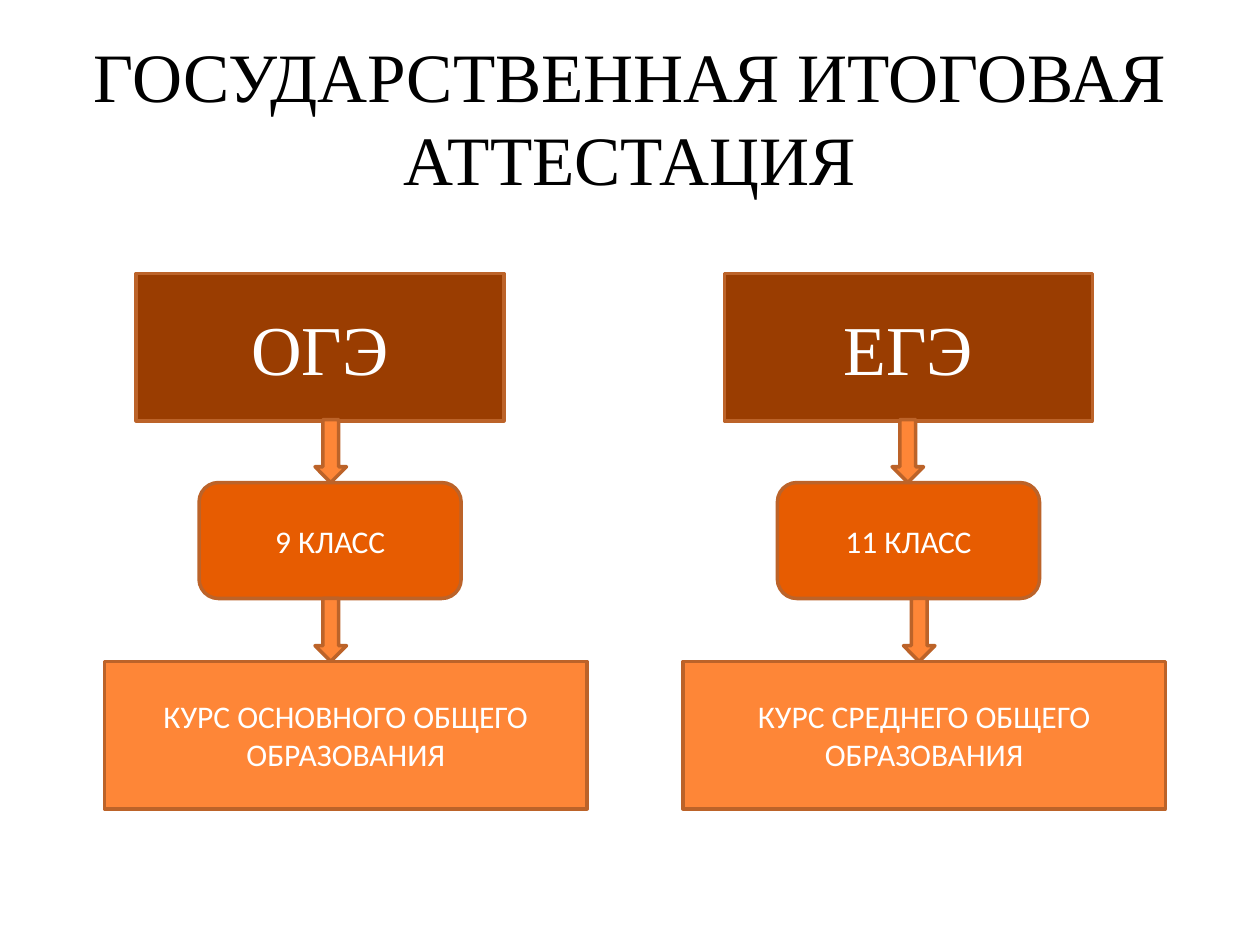
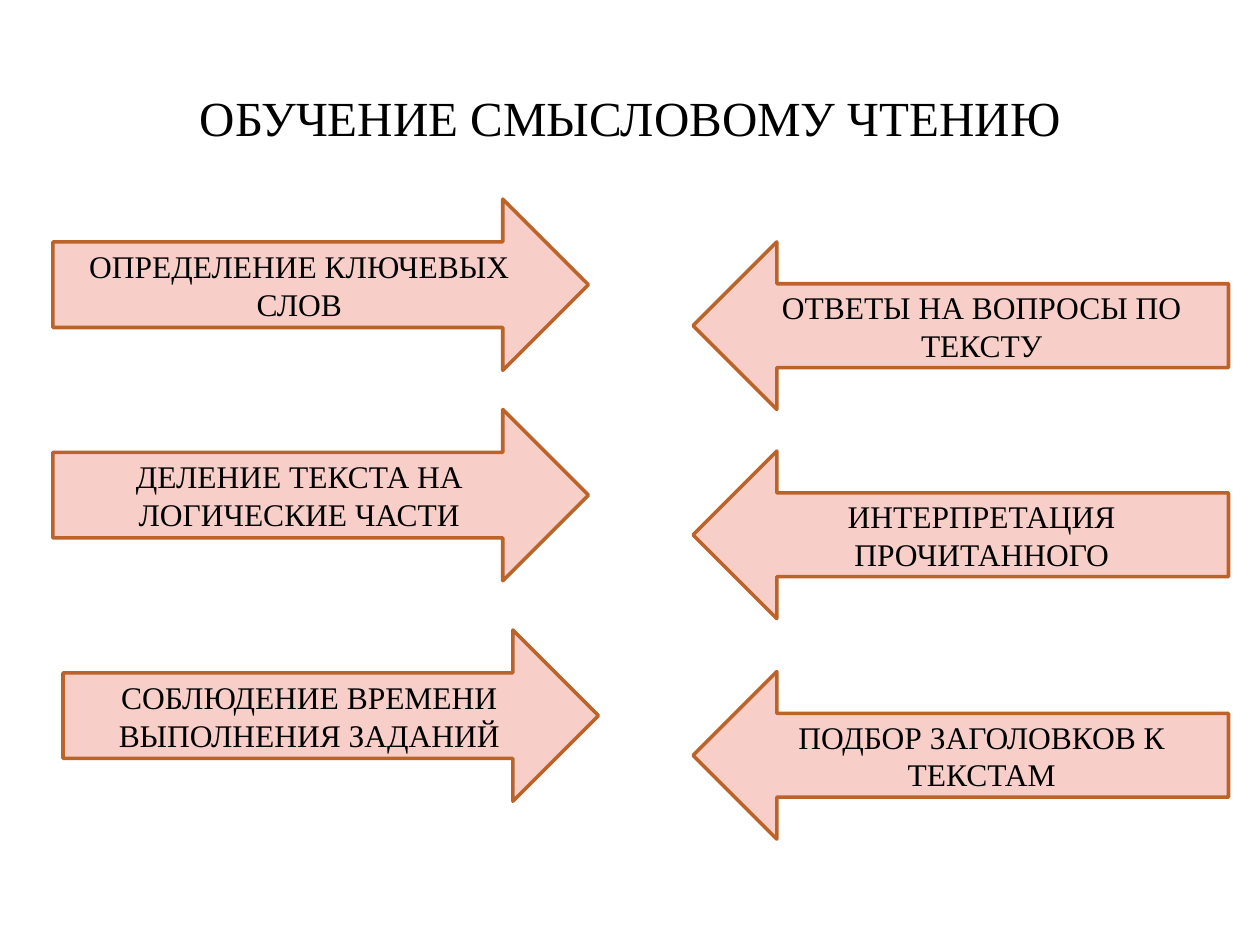
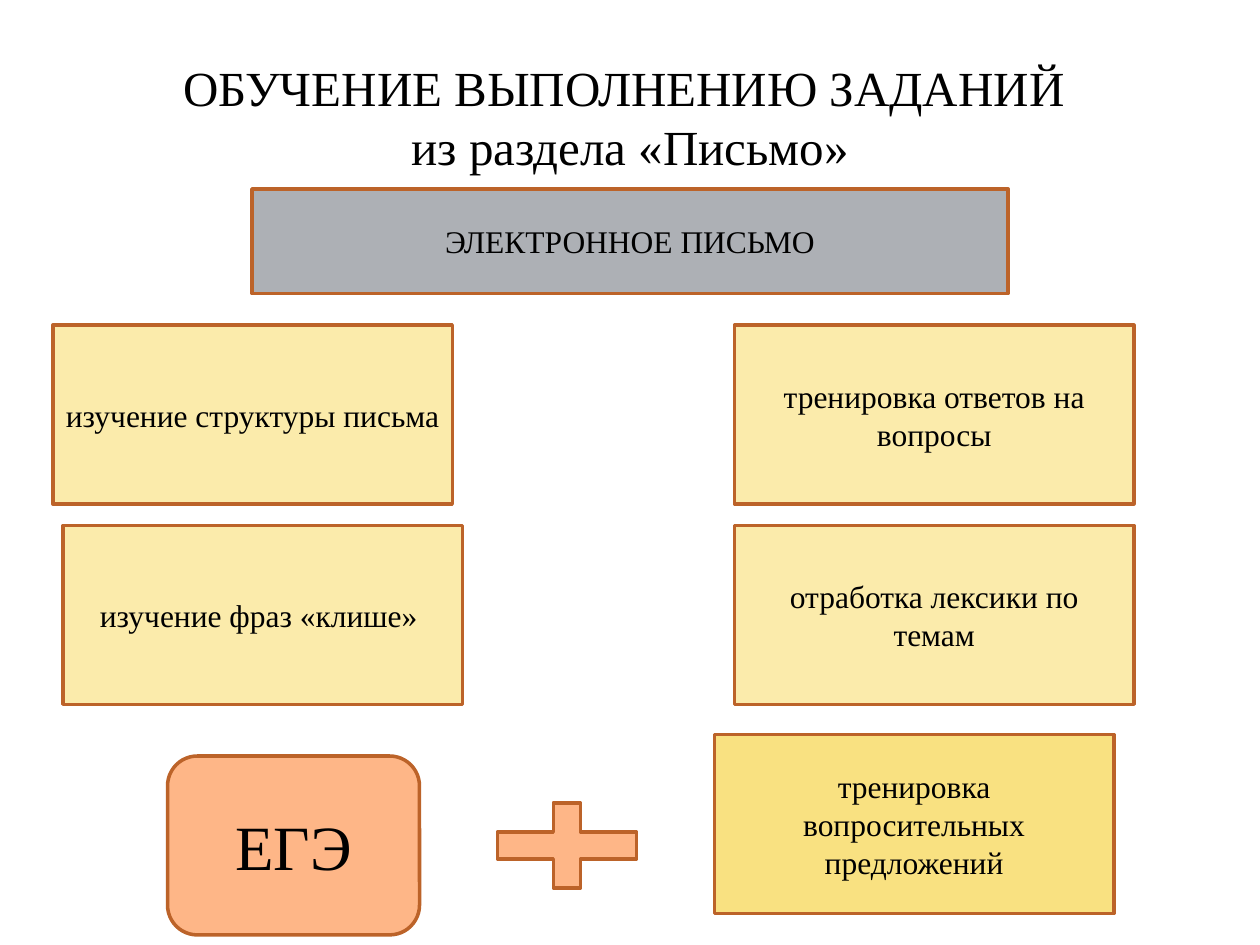
from dataclasses import dataclass

from lxml import etree
from pptx import Presentation
from pptx.dml import color
from pptx.enum import shapes, text
from pptx import util as u

SHAPE = shapes.MSO_SHAPE


@dataclass(frozen=True)
class Theme:
    serif: str = "Times New Roman"
    sans: str = "Calibri"
    black: str = "000000"
    white: str = "FFFFFF"
    outline: str = "BC6329"
    brown: str = "9A3D01"
    deep_orange: str = "E75C01"
    orange: str = "FE8637"
    peach: str = "FEB687"
    pink: str = "F8CFC8"
    grey: str = "ADB0B5"
    cream: str = "FBEBAB"
    yellow: str = "F9E181"
    main_title: float = 39.6
    title: float = 28
    exam: float = 40
    badge: float = 36
    body: float = 18
    line: float = 2


def rgb(value):
    return color.RGBColor.from_string(value)


def write(tf, content, *, size, font, fill):
    tf.word_wrap = True
    tf.auto_size = text.MSO_AUTO_SIZE.NONE
    tf.vertical_anchor = text.MSO_ANCHOR.MIDDLE
    p = tf.paragraphs[0]
    p.alignment = text.PP_ALIGN.CENTER
    for i, line in enumerate(content.split("\n")):
        if i:
            p.add_line_break()
        r = p.add_run()
        r.text = line
        r.font.size = u.Pt(size)
        r.font.name = font
        r.font.color.rgb = rgb(fill)


class Deck:
    def __init__(self, theme):
        self.theme = theme
        self.prs = Presentation()
        self.prs.slide_width = u.Inches(10)
        self.prs.slide_height = u.Inches(7.5)
        self.slide = None

    def new_slide(self, title, size=None):
        t = self.theme
        self.slide = self.prs.slides.add_slide(self.prs.slide_layouts[5])
        sp = self.slide.shapes.title
        sp.left, sp.top = u.Inches(0.5), u.Inches(0.3)
        sp.width, sp.height = u.Inches(9), u.Inches(1.25)
        write(sp.text_frame, title, size=size or t.title, font=t.serif, fill=t.black)

    def shape(self, kind, x, y, w, h, fill):
        sp = self.slide.shapes.add_shape(
            kind, u.Inches(x), u.Inches(y), u.Inches(w), u.Inches(h))
        sp.shadow.inherit = False
        sp.fill.solid()
        sp.fill.fore_color.rgb = rgb(fill)
        sp.line.color.rgb = rgb(self.theme.outline)
        sp.line.width = u.Pt(self.theme.line)
        return sp

    def label(self, kind, x, y, w, h, fill, content, size=None, font=None, ink=None):
        t = self.theme
        sp = self.shape(kind, x, y, w, h, fill)
        write(sp.text_frame, content, size=size or t.body,
              font=font or t.serif, fill=ink or t.black)

    def down_arrow(self, x, y):
        self.shape(SHAPE.DOWN_ARROW, x, y, 0.25, 0.5, self.theme.orange)


def exams_slide(deck):
    t = deck.theme
    deck.new_slide("ГОСУДАРСТВЕННАЯ ИТОГОВАЯ АТТЕСТАЦИЯ", t.main_title)
    columns = [
        ("ОГЭ", 1.08, "9 КЛАСС", 1.58,
         "КУРС ОСНОВНОГО ОБЩЕГО ОБРАЗОВАНИЯ", 0.83, (2.5, 2.5)),
        ("ЕГЭ", 5.75, "11 КЛАСС", 6.17,
         "КУРС СРЕДНЕГО ОБЩЕГО ОБРАЗОВАНИЯ", 5.42, (7.08, 7.17)),
    ]
    for exam, exam_x, grade, grade_x, course, course_x, arrows in columns:
        deck.label(SHAPE.RECTANGLE, exam_x, 2.17, 2.92, 1.17, t.brown, exam,
                   size=t.exam, ink=t.white)
        deck.label(SHAPE.ROUNDED_RECTANGLE, grade_x, 3.83, 2.08, 0.92,
                   t.deep_orange, grade, font=t.sans, ink=t.white)
        deck.label(SHAPE.RECTANGLE, course_x, 5.25, 3.83, 1.17, t.orange, course,
                   font=t.sans, ink=t.white)
        for x, y in zip(arrows, (3.33, 4.75)):
            deck.down_arrow(x, y)


def reading_slide(deck):
    t = deck.theme
    deck.new_slide("ОБУЧЕНИЕ СМЫСЛОВОМУ ЧТЕНИЮ")
    skills = [
        (0.42, 1.58, "ОПРЕДЕЛЕНИЕ КЛЮЧЕВЫХ СЛОВ"),
        (0.42, 3.25, "ДЕЛЕНИЕ ТЕКСТА НА ЛОГИЧЕСКИЕ ЧАСТИ"),
        (0.5, 5, "СОБЛЮДЕНИЕ ВРЕМЕНИ ВЫПОЛНЕНИЯ ЗАДАНИЙ"),
    ]
    tasks = [
        (5.5, 1.92, "ОТВЕТЫ НА ВОПРОСЫ ПО ТЕКСТУ"),
        (5.5, 3.58, "ИНТЕРПРЕТАЦИЯ ПРОЧИТАННОГО"),
        (5.5, 5.33, "ПОДБОР ЗАГОЛОВКОВ К ТЕКСТАМ"),
    ]
    for kind, height, items in ((SHAPE.RIGHT_ARROW, 1.36, skills),
                                (SHAPE.LEFT_ARROW, 1.33, tasks)):
        for x, y, content in items:
            deck.label(kind, x, y, 4.25, height, t.pink, content)


def writing_slide(deck):
    t = deck.theme
    deck.new_slide("ОБУЧЕНИЕ ВЫПОЛНЕНИЮ ЗАДАНИЙ \nиз раздела «Письмо»")
    deck.label(SHAPE.RECTANGLE, 2, 1.5, 6, 0.83, t.grey, "ЭЛЕКТРОННОЕ ПИСЬМО")
    steps = [
        (0.42, 2.58, t.cream, "изучение структуры письма"),
        (0.5, 4.17, t.cream, "изучение фраз «клише» "),
        (5.83, 2.58, t.cream, "тренировка ответов на вопросы"),
        (5.83, 4.17, t.cream, "отработка лексики по темам"),
        (5.67, 5.83, t.yellow, "тренировка вопросительных предложений"),
    ]
    for x, y, fill, content in steps:
        deck.label(SHAPE.RECTANGLE, x, y, 3.17, 1.42, fill, content)
    deck.label(SHAPE.ROUNDED_RECTANGLE, 1.33, 6, 2, 1.42, t.peach, "ЕГЭ", size=t.badge)
    deck.shape(SHAPE.MATH_PLUS, 3.75, 6.25, 1.5, 0.92, t.peach)


deck = Deck(Theme())
exams_slide(deck)
reading_slide(deck)
writing_slide(deck)
deck.prs.save("out.pptx")
